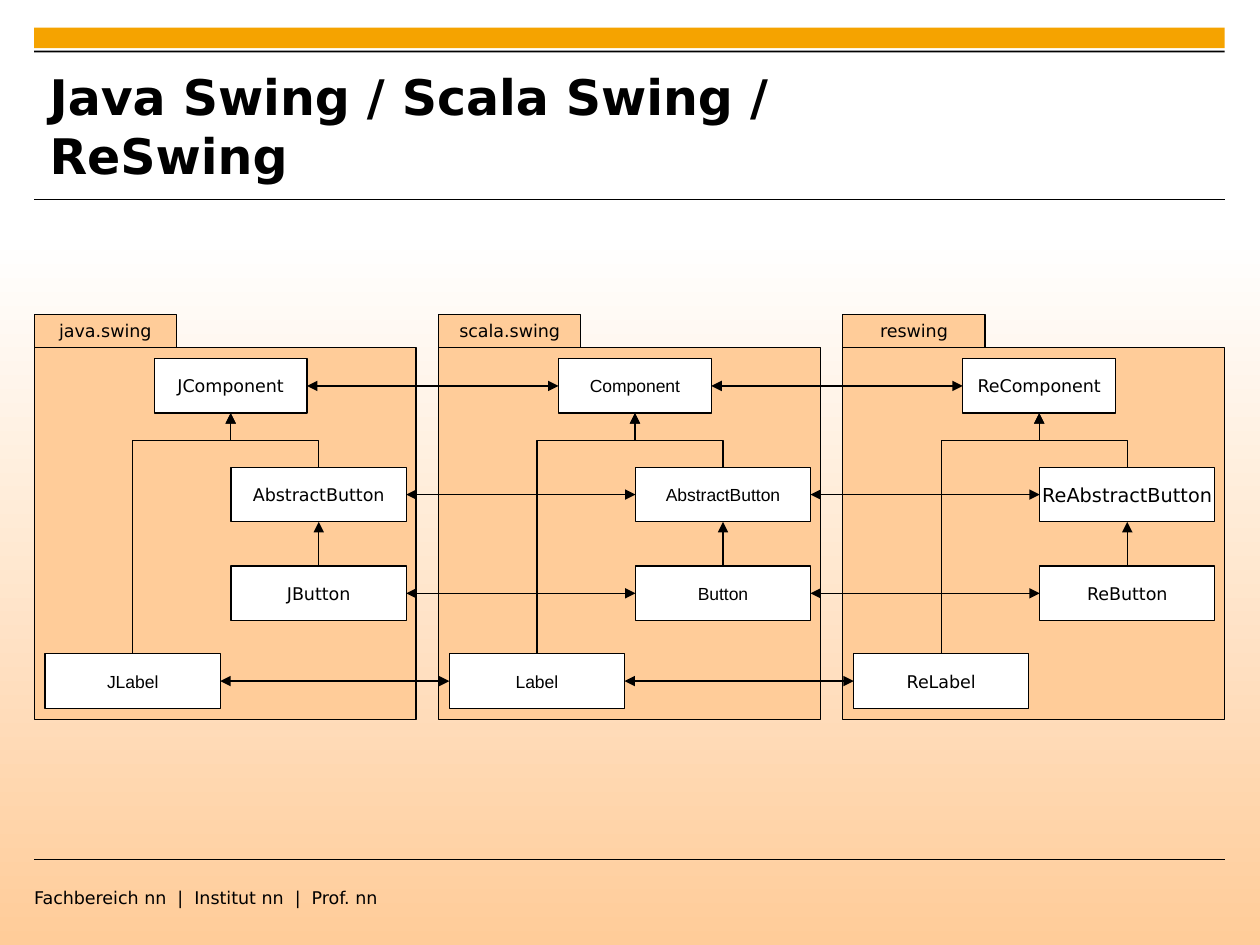
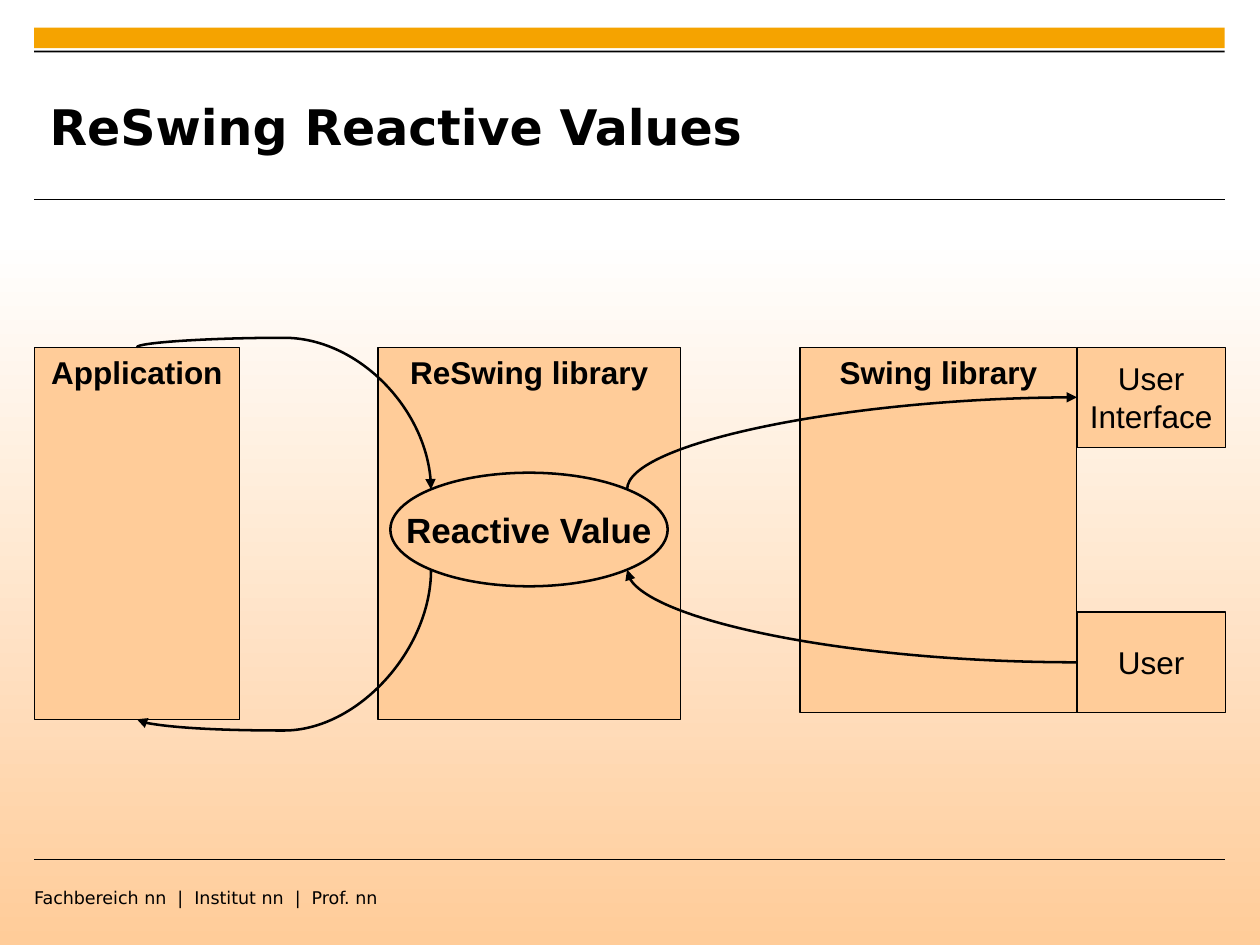
from dataclasses import dataclass
from itertools import pairwise
from math import sqrt

from lxml.etree import SubElement
from pptx import Presentation
from pptx.dml.color import RGBColor
from pptx.enum.shapes import MSO_CONNECTOR, MSO_SHAPE
from pptx.enum.text import MSO_ANCHOR, MSO_AUTO_SIZE, PP_ALIGN
from pptx.oxml.ns import qn
from pptx.slide import Slide
from pptx.util import Cm, Pt


@dataclass(frozen=True)
class Theme:
    ink: RGBColor = RGBColor(0x00, 0x00, 0x00)
    paper: RGBColor = RGBColor(0xFF, 0xFF, 0xFF)
    peach: RGBColor = RGBColor(0xFF, 0xCC, 0x99)
    amber: RGBColor = RGBColor(0xF5, 0xA3, 0x00)
    sans: str = "DejaVu Sans"
    plain: str = "Arial"
    title: float = 28
    value: float = 20
    block: float = 18
    wide: float = 11
    small: float = 10
    hair: float = 0
    rule: float = 0.6
    thin: float = 0.71
    bold: float = 1.45


THEME = Theme()


# Parts, with all lengths in centimetres
@dataclass(frozen=True)
class Font:
    size: float
    name: str
    bold: bool = False


SANS = Font(THEME.small, THEME.sans)
PLAIN = Font(THEME.small, THEME.plain)
WIDE = Font(THEME.wide, THEME.sans)
BLOCK = Font(THEME.block, THEME.plain)
HEAD = Font(THEME.block, THEME.plain, True)


@dataclass(frozen=True)
class Box:
    x: float
    y: float
    w: float
    h: float
    text: str = ""
    font: Font = SANS
    fill: RGBColor = THEME.peach
    line: float | None = THEME.hair
    top: bool = False
    kind: MSO_SHAPE = MSO_SHAPE.RECTANGLE

    @property
    def mid(self) -> float:
        return self.x + self.w / 2

    @property
    def row(self) -> float:
        return self.y + self.h / 2

    @property
    def right(self) -> float:
        return self.x + self.w

    @property
    def base(self) -> float:
        return self.y + self.h


@dataclass(frozen=True)
class Link:
    start: tuple[float, float]
    end: tuple[float, float]
    width: float = THEME.thin
    head: bool = False
    tail: bool = False
    kind: MSO_CONNECTOR = MSO_CONNECTOR.STRAIGHT
    bend: float | None = None
    preset: str = ""


@dataclass(frozen=True)
class Pack:
    name: str
    root: tuple[str, Font]
    base: tuple[str, Font]
    button: tuple[str, Font]
    label: tuple[str, Font]


# Drawing
def write(frame, text: str, font: Font, align: PP_ALIGN) -> None:
    for i, line in enumerate(text.split("\n")):
        para = frame.paragraphs[0] if i == 0 else frame.add_paragraph()
        para.alignment = align
        run = para.add_run()
        run.text = line
        run.font.size = Pt(font.size)
        run.font.name = font.name
        run.font.bold = font.bold
        run.font.color.rgb = THEME.ink


def trim(frame) -> None:
    frame.margin_left = frame.margin_right = 0
    frame.margin_top = frame.margin_bottom = 0
    frame.word_wrap = True


def draw_box(slide: Slide, box: Box) -> None:
    shape = slide.shapes.add_shape(box.kind, Cm(box.x), Cm(box.y), Cm(box.w), Cm(box.h))
    shape.shadow.inherit = False
    shape.fill.solid()
    shape.fill.fore_color.rgb = box.fill
    if box.line is None:
        shape.line.fill.background()
    else:
        shape.line.color.rgb = THEME.ink
        shape.line.width = Pt(box.line)
    if box.text:
        frame = shape.text_frame
        frame.word_wrap = False
        frame.vertical_anchor = MSO_ANCHOR.TOP if box.top else MSO_ANCHOR.MIDDLE
        write(frame, box.text, box.font, PP_ALIGN.CENTER)


def draw_link(slide: Slide, link: Link) -> None:
    (x1, y1), (x2, y2) = link.start, link.end
    turn = link.kind != MSO_CONNECTOR.STRAIGHT
    if turn:  # a quarter turn makes the path leave its start vertically
        mx, my = (x1 + x2) / 2, (y1 + y2) / 2
        dx, dy = (x2 - x1) / 2, (y2 - y1) / 2
        x1, y1, x2, y2 = mx - dy, my + dx, mx + dy, my - dx
    line = slide.shapes.add_connector(link.kind, Cm(x1), Cm(y1), Cm(x2), Cm(y2))
    line.line.color.rgb = THEME.ink
    line.line.width = Pt(link.width)
    props = line._element.spPr
    if turn:
        props.find(qn("a:xfrm")).set("rot", "5400000")
    shape = props.find(qn("a:prstGeom"))
    if link.preset:
        shape.set("prst", link.preset)
    if link.bend is not None:
        guide = SubElement(shape.find(qn("a:avLst")), qn("a:gd"))
        guide.set("name", "adj1")
        guide.set("fmla", f"val {round(link.bend * 100000)}")
    for tag, shown in (("a:headEnd", link.head), ("a:tailEnd", link.tail)):
        if shown:
            SubElement(props.find(qn("a:ln")), qn(tag)).set("type", "triangle")
    SubElement(props, qn("a:effectLst"))


# Shared frame
LEFT, SPAN = 0.69, 24.0


def paint_back(deck) -> None:
    fill = deck.slide_master.background.fill
    fill.gradient()
    fill.gradient_angle = 270
    stops = ((0.25, THEME.paper), (1, THEME.peach))
    for stop, (place, color) in zip(fill.gradient_stops, stops):
        stop.position = place
        stop.color.rgb = color


def add_page(deck, title: str) -> Slide:
    slide = deck.slides.add_slide(deck.slide_layouts[5])
    draw_box(slide, Box(LEFT, 0.56, SPAN, 0.41, fill=THEME.amber, line=None))
    draw_box(slide, Box(LEFT, 1.02, SPAN, 0.04, fill=THEME.ink, line=None))
    for y in (4.02, 17.32):
        draw_link(slide, Link((LEFT, y), (LEFT + SPAN, y), THEME.rule))

    name = slide.shapes.title
    name.left, name.top, name.width, name.height = Cm(1), Cm(1.35), Cm(19.1), Cm(2.36)
    frame = name.text_frame
    trim(frame)
    frame.auto_size = MSO_AUTO_SIZE.NONE
    frame.vertical_anchor = MSO_ANCHOR.MIDDLE
    write(frame, title, Font(THEME.title, THEME.sans, True), PP_ALIGN.LEFT)

    foot = slide.shapes.add_textbox(Cm(LEFT), Cm(17.88), Cm(20), Cm(1.1)).text_frame
    trim(foot)
    write(foot, "Fachbereich nn  |  Institut nn  |  Prof. nn", SANS, PP_ALIGN.LEFT)
    return slide


# Class trees in three packages
PACKS = (
    Pack("java.swing", ("JComponent", SANS), ("AbstractButton", SANS),
         ("JButton", SANS), ("JLabel", PLAIN)),
    Pack("scala.swing", ("Component", PLAIN), ("AbstractButton", PLAIN),
         ("Button", PLAIN), ("Label", PLAIN)),
    Pack("reswing", ("ReComponent", SANS), ("AbstractButton".join(("Re", "")), WIDE),
         ("ReButton", SANS), ("ReLabel", SANS)),
)
PITCH, TOP = 8.15, 7.0


def class_box(x: float, y: float, w: float, item: tuple[str, Font]) -> Box:
    return Box(x, y, w, 1.1, *item, fill=THEME.paper)


def build_trees(deck) -> None:
    slide = add_page(deck, "Java Swing / Scala Swing / ReSwing")
    trees = []
    for i, pack in enumerate(PACKS):
        x = LEFT + i * PITCH
        draw_box(slide, Box(x, TOP, 7.7, 7.5))
        draw_box(slide, Box(x, TOP - 0.66, 2.87, 0.66, pack.name))
        trees.append((
            class_box(x + 2.42, 7.23, 3.08, pack.root),
            class_box(x + 3.97, 9.42, 3.53, pack.base),
            class_box(x + 3.97, 11.41, 3.53, pack.button),
            class_box(x + 0.22, 13.18, 3.53, pack.label),
        ))
    for tree in trees:
        root, base, button, label = tree
        for box in tree:
            draw_box(slide, box)
        for child, bend in ((base, 0.49), (label, 0.885)):
            draw_link(slide, Link((child.mid, child.y), (root.mid, root.base),
                                  tail=True, kind=MSO_CONNECTOR.ELBOW, bend=bend))
        draw_link(slide, Link((button.mid, button.y), (base.mid, base.base), tail=True))
    for near, far in pairwise(trees):
        for one, two in zip(near, far):
            draw_link(slide, Link((two.x, two.row), (one.right, one.row),
                                  head=True, tail=True))


# Flow between the program, the value and the user
def build_flow(deck) -> None:
    slide = add_page(deck, "ReSwing Reactive Values")
    app = Box(LEFT, TOP, 4.14, 7.5, "Application", HEAD, top=True)
    value = Box(7.87, 9.53, 5.59, 2.29, "Reactive Value",
                Font(THEME.value, THEME.plain, True),
                line=THEME.bold, kind=MSO_SHAPE.OVAL)
    view = Box(21.71, TOP, 2.99, 2.02, "User\nInterface", BLOCK)
    user = Box(21.71, 12.34, 2.99, 2.02, "User", BLOCK)
    boxes = (
        app,
        Box(7.62, TOP, 6.1, 7.5, "ReSwing library", HEAD, top=True),
        value, view, user,
        Box(16.13, TOP, 5.58, 7.36, "Swing library", HEAD, top=True),
    )
    for box in boxes:
        draw_box(slide, box)

    # Arrows meet the oval at its diagonal points
    dx, dy = value.w / sqrt(8), value.h / sqrt(8)
    west, east = value.mid - dx, value.mid + dx
    north, south = value.row - dy, value.row + dy
    arc = "curvedConnector2"
    curves = (
        ((east, north), (view.x, view.row), False, None, arc),
        ((east, south), (user.x, user.row), True, None, arc),
        ((west, north), (app.mid, app.y), True, 1.067, ""),
        ((west, south), (app.mid, app.base), False, 1.075, ""),
    )
    for start, end, head, bend, preset in curves:
        draw_link(slide, Link(start, end, THEME.bold, head, not head,
                              MSO_CONNECTOR.CURVE, bend, preset))


def main() -> None:
    deck = Presentation()
    deck.slide_width, deck.slide_height = Cm(25.4), Cm(19.05)
    paint_back(deck)
    build_trees(deck)
    build_flow(deck)
    deck.save("out.pptx")


if __name__ == "__main__":
    main()
